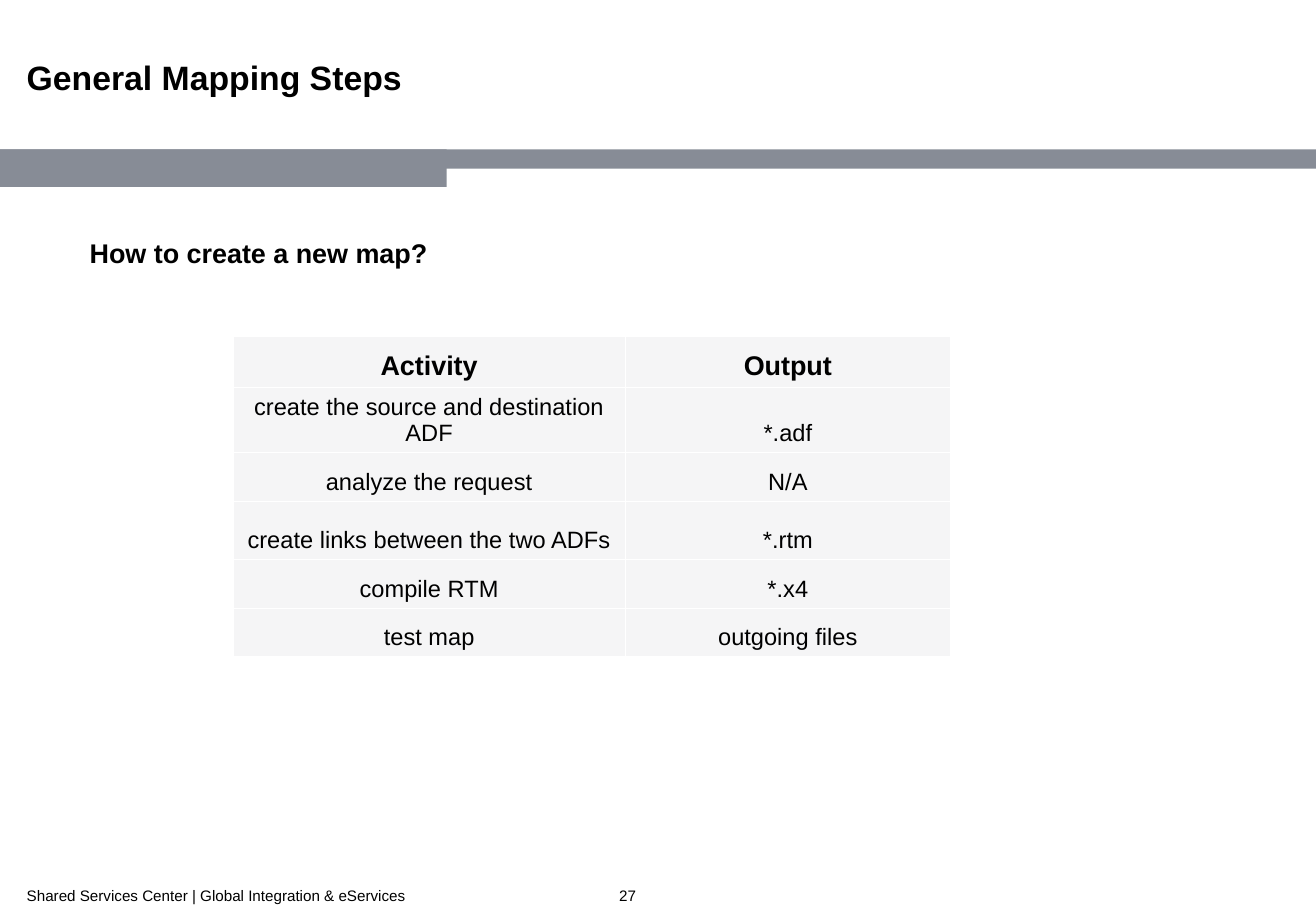
from lxml.etree import SubElement
from pptx import Presentation
from pptx.dml.color import RGBColor
from pptx.enum.shapes import MSO_SHAPE as Shape
from pptx.enum.text import MSO_ANCHOR as Anchor, PP_ALIGN as Align
from pptx.oxml.ns import qn
from pptx.util import Inches, Pt

COLORS = {"text": "000000", "band": "878C96", "cell": "F5F5F6", "border": "FFFFFF"}
STEPS = [
    ("Activity", "Output"),
    ("create the source and destination ADF", "*.adf"),
    ("analyze the request", "N/A"),
    ("create links between the two ADFs", "*.rtm"),
    ("compile RTM", "*.x4"),
    ("test map", "outgoing files"),
]
COLUMN_WIDTHS = [3.23, 2.68]
ROW_HEIGHTS = [0.42, 0.48, 0.4, 0.48, 0.4, 0.4]


class SlideBuilder:
    """Draws styled elements on one slide."""

    def __init__(self, slide, font_name="Arial"):
        self.slide = slide
        self.font_name = font_name

    def color(self, name):
        return RGBColor.from_string(COLORS[name])

    def style(self, paragraph, size, bold, align=Align.LEFT):
        paragraph.alignment = align
        font = paragraph.font
        font.name, font.size, font.bold = self.font_name, Pt(size), bold
        font.color.rgb = self.color("text")

    def band(self, width, height):
        shape = self.slide.shapes.add_shape(
            Shape.RECTANGLE, 0, Inches(1.23), Inches(width), Inches(height))
        shape.shadow.inherit = False
        shape.fill.solid()
        shape.fill.fore_color.rgb = self.color("band")
        shape.line.fill.background()

    def text(self, text, box, size, bold=False, anchor=Anchor.TOP, insets=(0, 0)):
        shape = self.slide.shapes.add_textbox(*map(Inches, box))
        frame = shape.text_frame
        frame.word_wrap = True
        frame.vertical_anchor = anchor
        frame.margin_left = frame.margin_right = Inches(insets[0])
        frame.margin_top = frame.margin_bottom = Inches(insets[1])
        frame.text = text
        self.style(frame.paragraphs[0], size, bold)

    def borders(self, cell):
        properties = cell._tc.get_or_add_tcPr()
        for side in ("lnL", "lnR", "lnT", "lnB"):
            line = SubElement(properties, qn(f"a:{side}"), w=str(Pt(0.45)))
            fill = SubElement(line, qn("a:solidFill"))
            SubElement(fill, qn("a:srgbClr"), val=COLORS["border"])

    def cell(self, cell, text, is_header):
        self.borders(cell)
        cell.fill.solid()
        cell.fill.fore_color.rgb = self.color("cell")
        cell.vertical_anchor = Anchor.BOTTOM
        cell.margin_left = cell.margin_right = Inches(0.01)
        cell.margin_top = cell.margin_bottom = Inches(0.05)
        cell.text = text
        self.style(cell.text_frame.paragraphs[0], 16 if is_header else 14,
                   is_header, Align.CENTER)

    def table(self, rows, left, top, widths, heights):
        table = self.slide.shapes.add_table(
            len(rows), len(widths), Inches(left), Inches(top),
            Inches(sum(widths)), Inches(sum(heights))).table
        for column, width in zip(table.columns, widths):
            column.width = Inches(width)
        for row, height in zip(table.rows, heights):
            row.height = Inches(height)
        for row_index, texts in enumerate(rows):
            for column_index, text in enumerate(texts):
                self.cell(table.cell(row_index, column_index), text, row_index == 0)


def main():
    presentation = Presentation()
    presentation.slide_width = Inches(10.84)
    presentation.slide_height = Inches(7.5)
    builder = SlideBuilder(presentation.slides.add_slide(presentation.slide_layouts[6]))
    builder.band(10.84, 0.16)
    builder.band(3.68, 0.31)
    builder.table(STEPS, 1.92, 2.77, COLUMN_WIDTHS, ROW_HEIGHTS)
    builder.text("How to create a new map?", (0.64, 1.9, 3.12, 0.37), 16, True,
                 insets=(0.1, 0.05))
    builder.text("General Mapping Steps", (0.22, 0.47, 7.43, 0.71), 20, True)
    builder.text("27", (5.1, 7.29, 0.63, 0.16), 9, anchor=Anchor.MIDDLE)
    builder.text("Shared Services Center | Global Integration & eServices",
                 (0.22, 7.29, 4.65, 0.16), 9, anchor=Anchor.MIDDLE)
    presentation.save("out.pptx")


if __name__ == "__main__":
    main()
